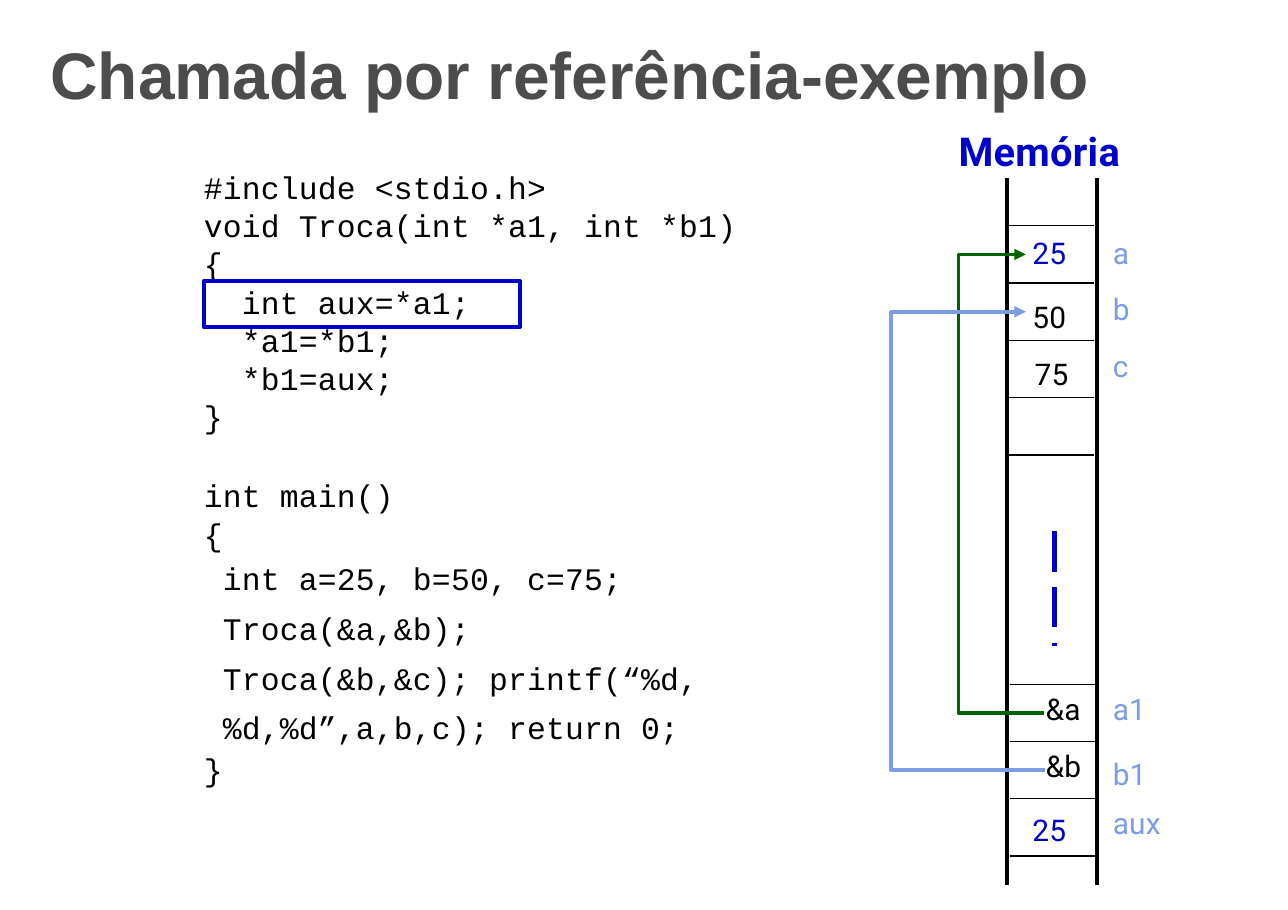
from pptx import Presentation
from pptx.dml.color import RGBColor
from pptx.enum.dml import MSO_LINE
from pptx.enum.shapes import MSO_CONNECTOR, MSO_SHAPE
from pptx.oxml.ns import qn
from pptx.util import Inches, Pt
from lxml import etree

STRAIGHT, RECTANGLE, LONG_DASH = MSO_CONNECTOR.STRAIGHT, MSO_SHAPE.RECTANGLE, MSO_LINE.LONG_DASH

BLACK = RGBColor(0x00, 0x00, 0x00)
GRAY = RGBColor(0x4C, 0x4C, 0x4C)
BLUE = RGBColor(0x00, 0x00, 0xCC)
GREEN = RGBColor(0x00, 0x65, 0x00)
LIGHT_BLUE = RGBColor(0x7D, 0x9C, 0xE8)

TITLE = "Chamada por referência-exemplo"
MEMORY_TITLE = "Memória"

SWAP_CODE = [
    "#include <stdio.h>",
    "void Troca(int *a1, int *b1)",
    "{",
    "  int aux=*a1;",
    "  *a1=*b1;",
    "  *b1=aux;",
    "}",
]
MAIN_HEAD = ["int main()", "{"]
MAIN_BODY = [
    " int a=25, b=50, c=75;",
    " Troca(&a,&b);",
    " Troca(&b,&c); printf(“%d,",
    " %d,%d”,a,b,c); return 0;",
]
MAIN_END = "}"

# row, name, drop of name, value, left of value, drop of value, colour
CELLS = [
    (0, "a", 0.08, "25", 9.37, 0.08, BLUE),
    (1, "b", 0.07, "50", 9.37, 0.14, BLACK),
    (2, "c", 0.07, "75", 9.39, 0.14, BLACK),
    (8, "a1", 0.06, "&a", 9.49, 0.06, BLACK),
    (9, "b1", 0.13, "&b", 9.49, 0.06, BLACK),
    (10, "aux", 0.05, "25", 9.37, 0.12, BLUE),
]
UPPER_LINES, LOWER_LINES = range(5), range(8, 12)
POINTERS = [(8, 0, 8.7, GREEN), (9, 1, 8.09, LIGHT_BLUE)]

MEMORY_LEFT, MEMORY_RIGHT, MEMORY_TOP, MEMORY_BOTTOM = 9.14, 9.96, 1.62, 8.03
ROW_TOP, ROW_HEIGHT, ROW_WIDTH = 2.05, 0.52, 0.78
NAME_LEFT = 10.1
POINTER_START, POINTER_END = 9.48, 9.31
CODE_LEFT, CODE_TOP, CODE_PITCH, CODE_WIDTH = 1.85, 1.52, 0.35, 5.2
THICK = 2.48


def row_y(row):
    return ROW_TOP + row * ROW_HEIGHT


def add_text(slide, x, y, w, h, lines, font, size, color, bold=False, tracking=10, spacing=None):
    tf = slide.shapes.add_textbox(Inches(x), Inches(y), Inches(w), Inches(h)).text_frame
    tf.margin_left = tf.margin_right = tf.margin_top = tf.margin_bottom = 0
    tf.word_wrap = True
    for i, line in enumerate(lines):
        p = tf.paragraphs[0] if i == 0 else tf.add_paragraph()
        p.text = line
        p.line_spacing = spacing
        p.font.name = font
        p.font.size = Pt(size)
        p.font.bold = bold
        p.font.color.rgb = color
        p._p.pPr.find(qn("a:defRPr")).set("spc", str(tracking))
    return tf


def add_code(slide, y, lines, spacing):
    return add_text(slide, CODE_LEFT, y, CODE_WIDTH, len(lines) * CODE_PITCH, lines,
                    "Courier New", 20.5, BLACK, tracking=15, spacing=spacing)


def add_label(slide, x, y, text, color):
    add_text(slide, x, y, 0.55, 0.33, [text], "Roboto", 19.5, color)


def add_line(slide, x1, y1, x2, y2, color, width):
    c = slide.shapes.add_connector(STRAIGHT, Inches(x1), Inches(y1), Inches(x2), Inches(y2))
    c.line.color.rgb = color
    c.line.width = Pt(width)
    etree.SubElement(c._element.spPr, qn("a:effectLst"))
    return c


def add_pointer(slide, source, target, turn, color):
    y1, y2 = row_y(source + 0.5), row_y(target + 0.5)
    points = [(POINTER_START, y1), (turn, y1), (turn, y2), (POINTER_END, y2)]
    points = [(Inches(x), Inches(y)) for x, y in points]
    builder = slide.shapes.build_freeform(*points[0])
    builder.add_line_segments(points[1:], close=False)
    sp = builder.convert_to_shape()
    sp.shadow.inherit = False
    sp.fill.background()
    sp.line.color.rgb = color
    sp.line.width = Pt(THICK)
    etree.SubElement(sp.line._get_or_add_ln(), qn("a:tailEnd"), type="triangle")


def main():
    prs = Presentation()
    prs.slide_width, prs.slide_height = Inches(11.69), Inches(8.26)
    slide = prs.slides.add_slide(prs.slide_layouts[6])

    add_text(slide, 0.46, 0.31, 10.5, 0.72, [TITLE], "Arial", 43, GRAY, bold=True, tracking=-5)
    add_text(slide, 8.7, 1.15, 1.64, 0.44, [MEMORY_TITLE], "Roboto", 26, BLUE, bold=True, tracking=20)

    for x in (MEMORY_LEFT, MEMORY_RIGHT):
        add_line(slide, x, MEMORY_TOP, x, MEMORY_BOTTOM, BLACK, THICK)
    for x, rows in ((9.15, UPPER_LINES), (9.17, LOWER_LINES)):
        for row in rows:
            add_line(slide, x, row_y(row), x + ROW_WIDTH, row_y(row), BLACK, 0.83)
    gap = add_line(slide, 9.57, 4.82, 9.57, 5.86, BLUE, 3.31)
    gap.line.dash_style = LONG_DASH

    for pointer in POINTERS:
        add_pointer(slide, *pointer)
    for row, name, name_drop, value, value_left, value_drop, color in CELLS:
        add_label(slide, NAME_LEFT, row_y(row) + name_drop, name, LIGHT_BLUE)
        add_label(slide, value_left, row_y(row) + value_drop, value, color)

    add_code(slide, CODE_TOP, SWAP_CODE, Pt(25))
    add_code(slide, CODE_TOP + 8 * CODE_PITCH, MAIN_HEAD, Pt(25))
    tf = add_code(slide, 4.97, MAIN_BODY + [MAIN_END], 1.32)
    tf.paragraphs[-1].line_spacing = 1.0
    tf.paragraphs[-1].space_before = Pt(2.4)

    sp = slide.shapes.add_shape(RECTANGLE, Inches(CODE_LEFT), Inches(2.55), Inches(2.87), Inches(0.42))
    sp.shadow.inherit = False
    sp.fill.background()
    sp.line.color.rgb = BLUE
    sp.line.width = Pt(THICK)

    prs.save("out.pptx")


if __name__ == "__main__":
    main()
